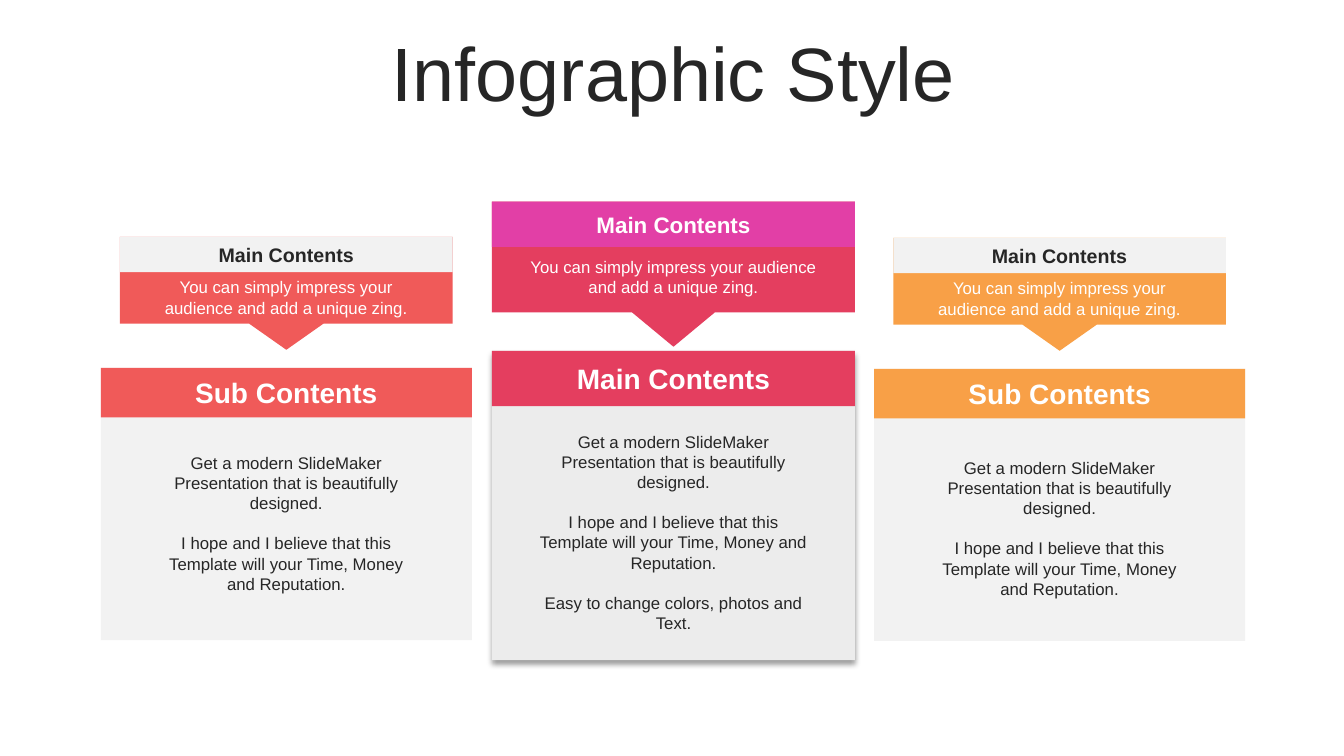
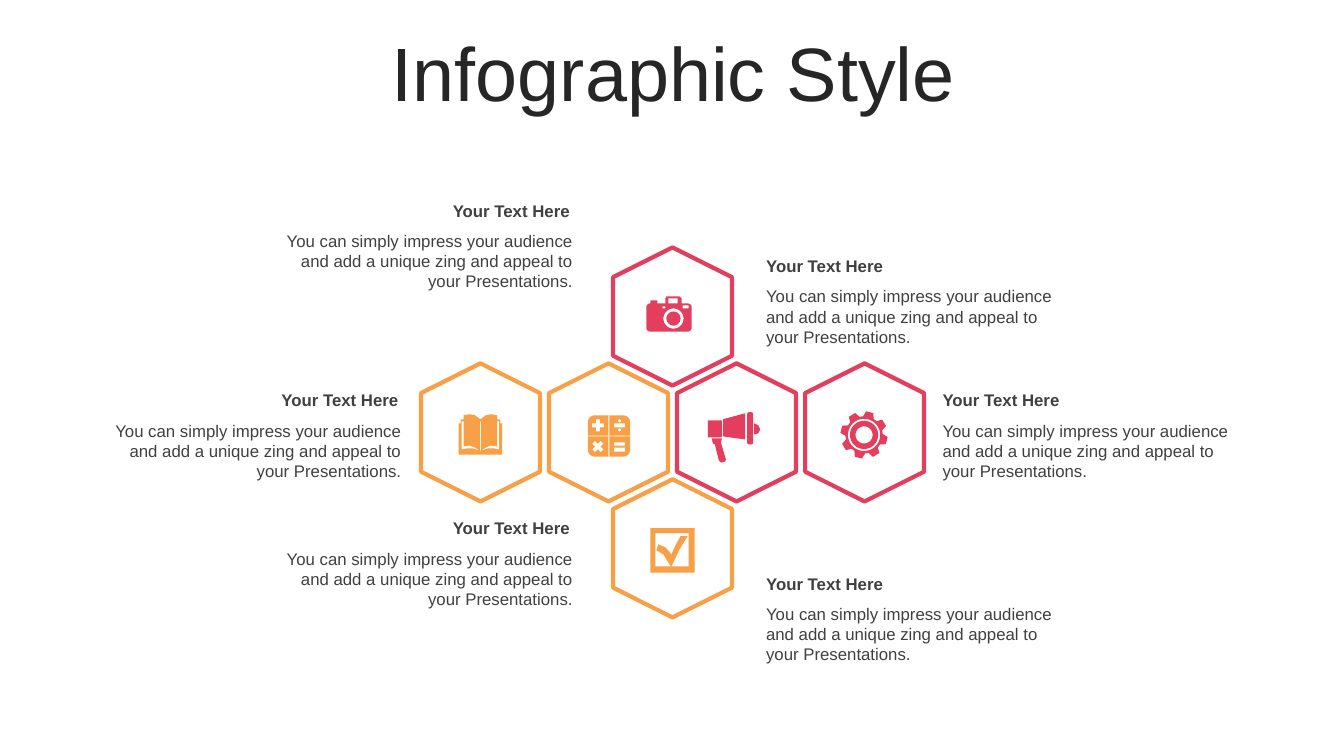
from dataclasses import dataclass
from math import cos, radians, sin

from lxml.etree import SubElement
from pptx import Presentation
from pptx.dml.color import RGBColor
from pptx.enum.shapes import MSO_SHAPE
from pptx.enum.text import MSO_ANCHOR, PP_ALIGN
from pptx.oxml.ns import qn
from pptx.util import Inches, Pt


@dataclass(frozen=True)
class Theme:
    """Colours, font and type sizes of the deck."""
    font: str = "Arial"
    ink: str = "262626"
    soft: str = "404040"
    white: str = "FFFFFF"
    pale: str = "F2F2F2"
    grey: str = "ECECEC"
    coral: str = "F05A59"
    gold: str = "F8A047"
    rose: str = "E43E5F"
    pink: str = "E23FA6"
    title: int = 54
    large: int = 20
    mid: int = 16
    small: int = 14
    body: int = 12
    gap: float = 14.4
    edge: int = 3


@dataclass
class Column:
    """Places and colours of one callout with its panel."""
    mid: float
    hue: str
    head: tuple
    call: tuple
    tip: tuple
    panel: tuple
    note: float
    copy: tuple
    name: str
    lines: list
    raised: bool = False


T = Theme()
ZING = "You can simply impress your audience and add a unique zing"
STORY = [
    "Get a modern SlideMaker Presentation that is beautifully designed.",
    "I hope and I believe that this Template will your Time, Money and Reputation.",
    "Easy to change colors, photos and Text.",
]


def write(shape, lines, size, hue, bold=False, align=PP_ALIGN.CENTER, anchor=MSO_ANCHOR.MIDDLE):
    """Fill a shape with formatted paragraphs."""
    frame = shape.text_frame
    frame.word_wrap = True
    frame.vertical_anchor = anchor
    frame.text = "\n".join(lines)
    for i, para in enumerate(frame.paragraphs):
        para.alignment = align
        if i:
            para.space_before = Pt(T.gap)
        for run in para.runs:
            font = run.font
            font.name, font.size, font.bold = T.font, Pt(size), bold
            font.color.rgb = RGBColor.from_string(hue)


def text(slide, x, y, w, h, lines, size, hue, **style):
    """Add a text box."""
    box = slide.shapes.add_textbox(Inches(x), Inches(y), Inches(w), Inches(h))
    write(box, lines, size, hue, **style)
    return box


def paint(shape, fill, line=None):
    """Set a flat fill and an optional outline."""
    shape.shadow.inherit = False
    shape.fill.solid()
    shape.fill.fore_color.rgb = RGBColor.from_string(fill)
    if line:
        shape.line.color.rgb = RGBColor.from_string(line)
        shape.line.width = Pt(T.edge)
    else:
        shape.line.fill.background()


def block(slide, kind, x, y, w, h, fill, line=None):
    """Add a painted preset shape."""
    shape = slide.shapes.add_shape(kind, Inches(x), Inches(y), Inches(w), Inches(h))
    paint(shape, fill, line)
    return shape


def lift(shape):
    """Give a shape a soft drop shadow."""
    effects = shape._element.spPr.find(qn("a:effectLst"))
    shade = SubElement(effects, qn("a:outerShdw"), blurRad=str(Pt(4)), dist=str(Pt(3)),
                       dir="5400000", algn="t", rotWithShape="0")
    tone = SubElement(shade, qn("a:srgbClr"), val="000000")
    SubElement(tone, qn("a:alpha"), val="40000")


def draw(slide, x, y, loops, fill, unit=0.01):
    """Draw closed loops as one shape, inner loops being holes."""
    loops = [[(Inches(x + u * unit), Inches(y + v * unit)) for u, v in loop] for loop in loops]
    form = slide.shapes.build_freeform(*loops[0][0], scale=1.0)
    for i, loop in enumerate(loops):
        if i:
            form.move_to(*loop[0])
        form.add_line_segments(loop[1:], close=True)
    paint(form.convert_to_shape(), fill)


def polar(x, y, r, turn):
    """Return the point at an angle on a circle."""
    return x + r * cos(radians(turn)), y + r * sin(radians(turn))


def arc(x, y, r, start, end, steps=8):
    """Return points along an arc."""
    return [polar(x, y, r, start + (end - start) * i / steps) for i in range(steps + 1)]


def disc(x, y, r):
    """Return a circle."""
    return arc(x, y, r, 0, 360, 40)


def box(x, y, w, h):
    """Return a rectangle."""
    return [(x, y), (x + w, y), (x + w, y + h), (x, y + h)]


def pill(x, y, w, h, r):
    """Return a rounded rectangle."""
    ends = [(x + r, y + r), (x + w - r, y + r), (x + w - r, y + h - r), (x + r, y + h - r)]
    return [p for i, (u, v) in enumerate(ends) for p in arc(u, v, r, 180 + 90 * i, 270 + 90 * i)]


def cross(x, y, turn=0):
    """Return a plus sign, turned if asked."""
    loop = []
    for angle in range(turn, turn + 360, 90):
        c, s = cos(radians(angle)), sin(radians(angle))
        loop += [(x + u * c - v * s, y + u * s + v * c) for u, v in ((6, -2), (6, 2), (2, 2))]
    return loop


def photo():
    """Return the loops of a camera."""
    case = (arc(4, 11, 4, 180, 270) + [(4, 4), (11, 4), (11, 7), (19, 7), (19, 2), (20, 0),
            (33, 0), (35, 2), (35, 7)] + arc(41, 11, 4, 270, 360) + arc(41, 31, 4, 0, 90)
            + arc(4, 31, 4, 90, 180))
    return [case, box(22, 2, 9, 5), box(36, 9, 6, 3), box(16, 10, 3, 2),
            disc(27, 22, 10), disc(27, 22, 7)]


def book():
    """Return the loops of an open book."""
    half = [(0, 40), (0, 9), (2, 9), (2, 5), (5, 5), (5, 1), (11, 0), (16, 1), (21.5, 5)]
    page = [(3, 7), (5, 7), (5, 32), (11, 31), (16, 33), (21, 36), (14, 34), (8, 34), (3, 35)]
    flip = [[(43 - x, y) for x, y in side] for side in (half, page)]
    return [half + flip[0][::-1], page, flip[1], box(21, 7, 1, 29)]


def sums():
    """Return the loops of a calculator."""
    return [pill(0, 0, 42, 41, 7), box(20.5, 0, 0.8, 20.2), box(20.5, 21, 0.8, 20),
            box(0, 20.2, 42, 0.8), cross(10, 10), cross(10, 31, 45), box(26, 8, 11, 4),
            disc(31.5, 5.5, 1.5), disc(31.5, 14.5, 1.5), box(26, 27, 11, 3), box(26, 32, 11, 4)]


def horn():
    """Return the loops of a megaphone."""
    return [pill(0, 9, 14, 17, 1), [(15, 8), (37, 2), (37, 28), (15, 25)],
            pill(39, 1, 6, 32, 2), [(46, 12), (50, 14), (52, 18), (50, 22), (46, 23)],
            [(4, 27), (14, 27), (13, 31), (18, 48), (17, 50), (13, 51), (11, 49), (7, 33), (5, 32)]]


def gear():
    """Return the loops of a gear wheel."""
    teeth = [polar(23, 23.5, r, a + d) for a in range(-76, 284, 45)
             for r, d in ((18.5, -17), (23.5, -9), (23.5, 9), (18.5, 17))]
    return [teeth] + [disc(23, 23.5, r) for r in (16, 14, 8.5)]


def check():
    """Return the loops of a ticked box."""
    tick = [(6, 22), (8, 16), (15, 19), (21, 26), (25, 17), (30, 8), (37, 8), (29, 21),
            (21, 38), (19, 36), (13, 26)]
    return [box(0, 0, 44, 44), box(5, 5, 33, 33), tick]


def page(deck):
    """Add a blank slide with the shared title."""
    slide = deck.slides.add_slide(deck.slide_layouts[6])
    title = text(slide, 0.35, 0.37, 12.66, 0.79, ["Infographic Style"], T.title, T.ink)
    title.text_frame.paragraphs[0].line_spacing = 0.9
    return slide


def column(slide, col):
    """Add a callout above a titled panel."""
    top, wide, deep, band = col.panel
    left = col.mid - wide / 2
    base = block(slide, MSO_SHAPE.RECTANGLE, left, top, wide, deep, T.grey if col.raised else T.pale)
    if col.raised:
        lift(base)
    bar = block(slide, MSO_SHAPE.RECTANGLE, left, top, wide, band, col.hue)
    write(bar, [col.name], T.large, T.white, bold=True)

    top, wide, deep = col.call
    left, (half, drop) = col.mid - wide / 2, col.tip
    tail = [(wide / 2 + half, deep), (wide / 2, deep + drop), (wide / 2 - half, deep)]
    draw(slide, left, top, [[(0, 0), (wide, 0), (wide, deep), *tail, (0, deep)]], col.hue, 1)
    high, fill, ink, size = col.head
    cap = block(slide, MSO_SHAPE.RECTANGLE, left, top, wide, high, fill)
    write(cap, ["Main Contents"], size, ink, bold=True)

    span = wide - 0.47
    text(slide, col.mid - span / 2, col.note, span, 0.5, [ZING + "."], T.body, T.white,
         anchor=MSO_ANCHOR.TOP)
    y, w, h = col.copy
    text(slide, col.mid - w / 2, y, w, h, col.lines, T.body, T.ink, anchor=MSO_ANCHOR.TOP)


def label(slide, x, y, align):
    """Add a bold heading with a line of copy below."""
    style = {"align": align, "anchor": MSO_ANCHOR.TOP}
    text(slide, x, y, 3.07, 0.3, ["Your Text Here"], T.body, T.soft, bold=True, **style)
    text(slide, x, y + 0.3, 3.1, 0.71, [ZING + " and appeal to your Presentations."],
         T.body, T.soft, **style)


def cell(slide, col, row, hue):
    """Add one cell of the honeycomb, counted from its centre."""
    x, y, w, h = 6.67 + 1.27 * col, 4.29 + 1.15 * row, 1.37, 1.18
    shape = block(slide, MSO_SHAPE.HEXAGON, x - w / 2, y - h / 2, w, h, T.white, hue)
    shape.rotation = 90


def panels(deck):
    """Build the slide of three panels."""
    slide = page(deck)
    for mid, hue, dy, y in ((2.84, T.coral, 0, 4.44), (10.51, T.gold, 0.01, 4.49)):
        column(slide, Column(mid, hue, (0.35, T.pale, T.ink, T.small), (2.35 + dy, 3.3, 0.86),
                             (0.37, 0.26), (3.65 + dy, 3.68, 2.7, 0.49), 2.7 + dy,
                             (y, 2.8, 1.72), "Sub Contents", STORY[:2]))
    column(slide, Column(6.68, T.rose, (0.45, T.pink, T.white, T.mid), (2, 3.6, 1.1),
                         (0.41, 0.34), (3.48, 3.6, 3.07, 0.55), 2.5,
                         (4.23, 2.99, 2.12), "Main Contents", STORY, True))


def comb(deck):
    """Build the honeycomb slide."""
    slide = page(deck)
    for x, y in ((2.68, 1.94), (0.98, 3.82), (2.68, 5.09)):
        label(slide, x, y, PP_ALIGN.RIGHT)
    for x, y in ((7.5, 2.49), (9.25, 3.82), (7.5, 5.64)):
        label(slide, x, y, PP_ALIGN.LEFT)
    for col, row, hue, icon, x, y in (
        (-1.5, 0, T.gold, book, 4.55, 4.11),
        (-0.5, 0, T.gold, sums, 5.83, 4.12),
        (0, 1, T.gold, check, 6.45, 5.24),
        (0, -1, T.rose, photo, 6.41, 2.94),
        (0.5, 0, T.rose, horn, 7.02, 4.08),
        (1.5, 0, T.rose, gear, 8.34, 4.08),
    ):
        cell(slide, col, row, hue)
        draw(slide, x, y, icon(), hue)


def main():
    """Build and save the deck."""
    deck = Presentation()
    deck.slide_width, deck.slide_height = Inches(13.33), Inches(7.5)
    panels(deck)
    comb(deck)
    deck.save("out.pptx")


if __name__ == "__main__":
    main()
